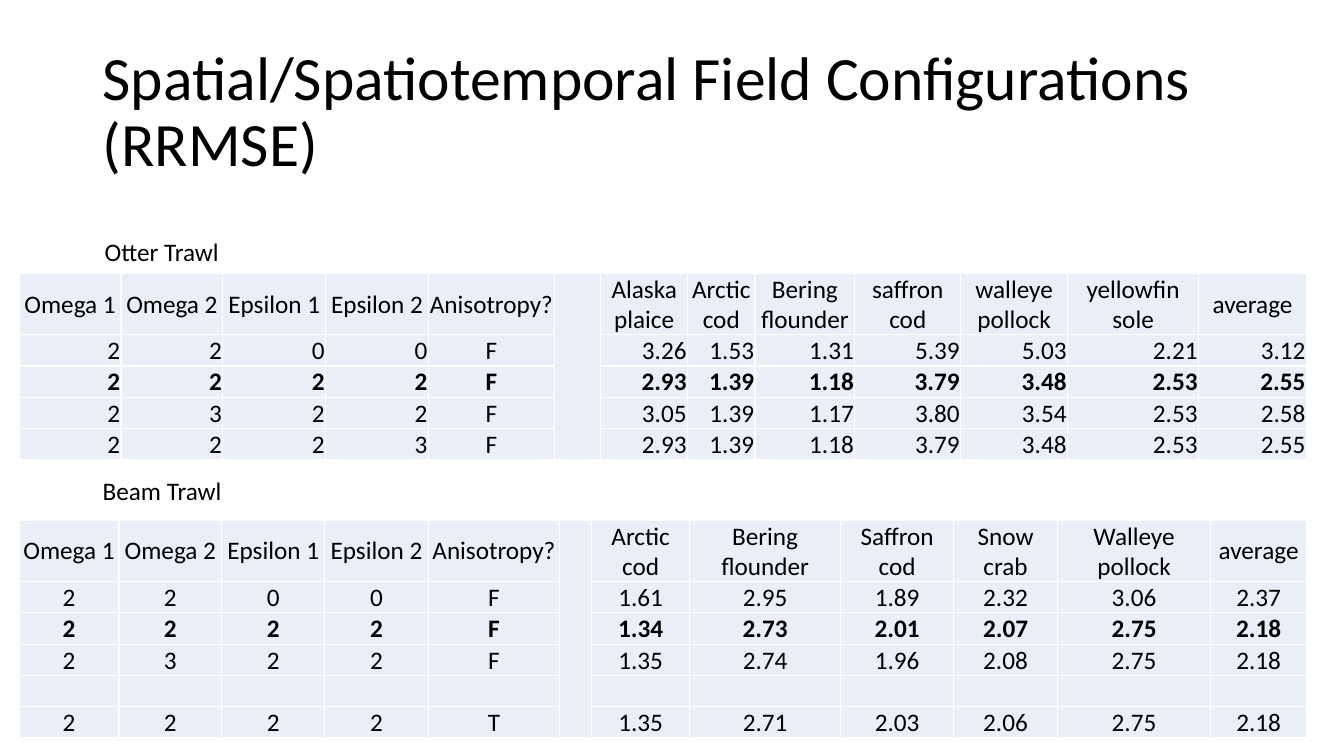
from dataclasses import dataclass

from lxml import etree
from pptx import Presentation, util as u
from pptx.dml.color import RGBColor
from pptx.enum import text
from pptx.oxml.ns import qn

TITLE = "Spatial/Spatiotemporal Field Configurations (RRMSE)"
SETTINGS = ["Omega 1", "Omega 2", "Epsilon 1", "Epsilon 2", "Anisotropy?"]
GAP = len(SETTINGS)  # the empty merged column after the settings
BOLD_ROW = 2
EMPTY_ROW = ("", "")

OTTER = {
    "label": "Otter Trawl",
    "label_at": (0.94, 2.3, 1.35, 0.4),
    "top": 2.71,
    "align": text.PP_ALIGN.RIGHT,
    "columns": [1.01, 1.01, 1.02, 1.02, 1.25, 0.46,
                0.86, 0.67, 0.99, 1.05, 1.06, 1.3, 1.07],
    "species": ["Alaska plaice", "Arctic cod", "Bering flounder", "saffron cod",
                "walleye pollock", "yellowfin sole", "average"],
    "rows": [
        ("2 2 0 0 F", "3.26 1.53 1.31 5.39 5.03 2.21 3.12"),
        ("2 2 2 2 F", "2.93 1.39 1.18 3.79 3.48 2.53 2.55"),
        ("2 3 2 2 F", "3.05 1.39 1.17 3.80 3.54 2.53 2.58"),
        ("2 2 2 3 F", "2.93 1.39 1.18 3.79 3.48 2.53 2.55"),
    ],
}
BEAM = {
    "label": "Beam Trawl",
    "label_at": (0.92, 4.67, 1.39, 0.4),
    "top": 5.16,
    "align": text.PP_ALIGN.CENTER,
    "columns": [0.99, 1.02, 1.02, 1.03, 1.3, 0.32,
                0.97, 1.5, 1.12, 1.03, 1.52, 0.95],
    "species": ["Arctic cod", "Bering flounder", "Saffron cod", "Snow crab",
                "Walleye pollock", "average"],
    "rows": [
        ("2 2 0 0 F", "1.61 2.95 1.89 2.32 3.06 2.37"),
        ("2 2 2 2 F", "1.34 2.73 2.01 2.07 2.75 2.18"),
        ("2 3 2 2 F", "1.35 2.74 1.96 2.08 2.75 2.18"),
        EMPTY_ROW,
        ("2 2 2 2 T", "1.35 2.71 2.03 2.06 2.75 2.18"),
    ],
}


@dataclass(frozen=True)
class Theme:
    font: str = "Calibri"
    ink: str = "000000"
    cell: str = "EAEFF7"
    border: str = "FFFFFF"
    title_size: int = 44
    body_size: int = 18
    table_left: float = 0.19
    header_height: float = 0.61
    row_height: float = 0.31
    cell_margin: float = 0.01


THEME = Theme()


def style_spans(para, size, bold=False):
    for span in para.runs:
        span.font.name = THEME.font
        span.font.size = u.Pt(size)
        span.font.bold = bold
        span.font.color.rgb = RGBColor.from_string(THEME.ink)


def add_text(page, wording, place, size, wrap):
    box = page.shapes.add_textbox(*map(u.Inches, place))
    frame = box.text_frame
    frame.text = wording
    frame.word_wrap = wrap
    style_spans(frame.paragraphs[0], size)
    return frame


def add_borders(cell):
    properties = cell._tc.get_or_add_tcPr()
    for side in ("a:lnL", "a:lnR", "a:lnT", "a:lnB"):
        line = etree.SubElement(properties, qn(side), w=str(u.Pt(1)))
        fill = etree.SubElement(line, qn("a:solidFill"))
        etree.SubElement(fill, qn("a:srgbClr"), val=THEME.border)


def fill_cell(cell, wording, align, anchor, bold):
    add_borders(cell)
    cell.fill.solid()
    cell.fill.fore_color.rgb = RGBColor.from_string(THEME.cell)
    cell.margin_left = cell.margin_right = cell.margin_top = u.Inches(THEME.cell_margin)
    cell.margin_bottom = 0
    cell.vertical_anchor = anchor
    if wording:
        para = cell.text_frame.paragraphs[0]
        para.text = wording
        para.alignment = align
        style_spans(para, THEME.body_size, bold)


def table_rows(trawl):
    """Header and body rows as lists of cell wordings of equal length."""
    yield SETTINGS + [""] + trawl["species"]
    for row in trawl["rows"]:
        if row == EMPTY_ROW:
            yield [""] * len(trawl["columns"])
        else:
            settings, errors = row
            yield settings.split() + [""] + errors.split()


def add_trawl(page, trawl):
    add_text(page, trawl["label"], trawl["label_at"], THEME.body_size, wrap=False)
    rows, widths = list(table_rows(trawl)), trawl["columns"]
    heights = [THEME.header_height] + [THEME.row_height] * (len(rows) - 1)
    place = (THEME.table_left, trawl["top"], sum(widths), sum(heights))
    table = page.shapes.add_table(len(rows), len(widths), *map(u.Inches, place)).table
    table.first_row = table.horz_banding = False
    for column, width in zip(table.columns, widths):
        column.width = u.Inches(width)
    for line, height in zip(table.rows, heights):
        line.height = u.Inches(height)
    for r, row in enumerate(rows):
        anchor = text.MSO_ANCHOR.BOTTOM if r else text.MSO_ANCHOR.MIDDLE
        for c, wording in enumerate(row):
            centred = r == 0 or c == GAP - 1
            align = text.PP_ALIGN.CENTER if centred else trawl["align"]
            fill_cell(table.cell(r, c), wording, align, anchor, r == BOLD_ROW)
    table.cell(0, GAP).merge(table.cell(len(rows) - 1, GAP))


def main():
    deck = Presentation()
    deck.slide_width, deck.slide_height = u.Inches(13.33), u.Inches(7.5)
    page = deck.slides.add_slide(deck.slide_layouts[6])
    title = add_text(page, TITLE, (0.92, 0.4, 11.5, 1.45), THEME.title_size, wrap=True)
    title.vertical_anchor = text.MSO_ANCHOR.MIDDLE
    title.paragraphs[0].line_spacing = 0.9
    for trawl in (OTTER, BEAM):
        add_trawl(page, trawl)
    deck.save("out.pptx")


if __name__ == "__main__":
    main()
